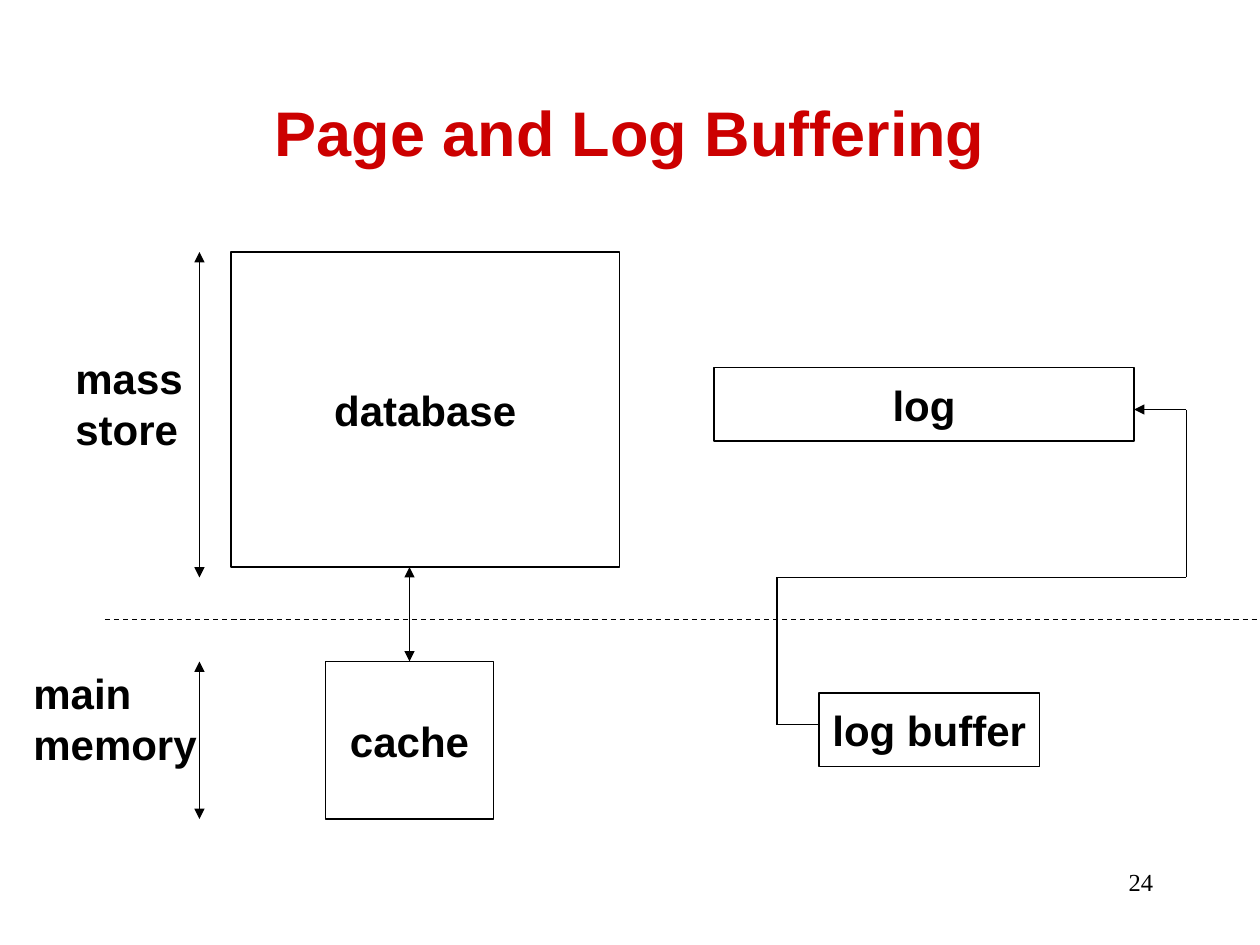
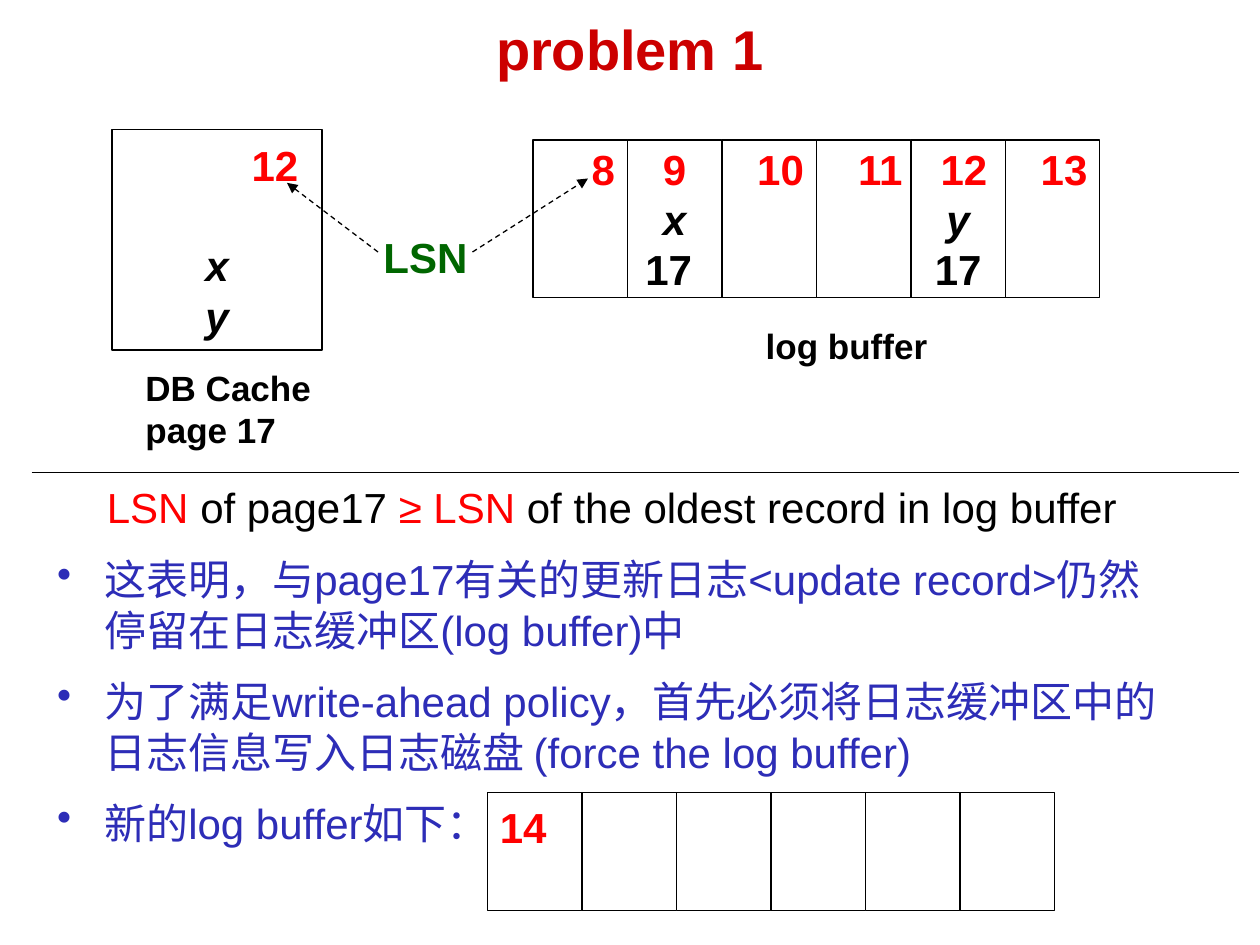
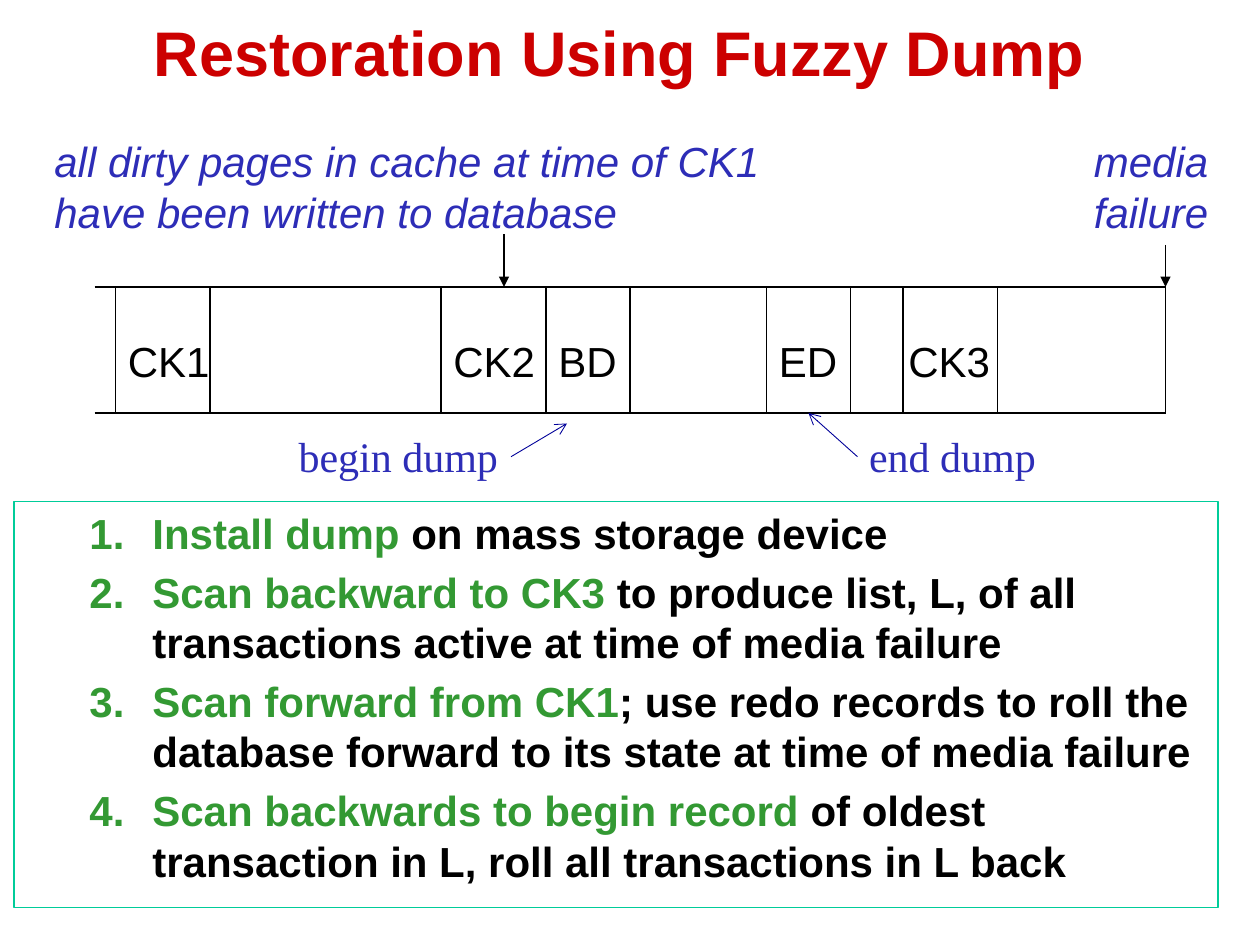
from pptx import Presentation
from pptx.util import Pt
from pptx.dml.color import RGBColor
from pptx.enum.dml import MSO_LINE
from pptx.enum.shapes import MSO_CONNECTOR, MSO_SHAPE
from pptx.enum.text import MSO_ANCHOR, PP_ALIGN
from pptx.oxml.ns import qn
from lxml.etree import SubElement

COLORS = {
    "title": "CC0000", "black": "000000", "white": "FFFFFF", "red": "FF0000",
    "green": "006600", "step": "339933", "blue": "2D2DB7", "navy": "000099", "teal": "00CC99",
}
ALIGN = {"l": PP_ALIGN.LEFT, "c": PP_ALIGN.CENTER, "r": PP_ALIGN.RIGHT}
SERIF = "Times New Roman"
BOTH, END = ("triangle", "triangle"), (None, "triangle")

STORES = [
    ("database", (132, 144, 222, 180)),
    ("log", (408, 210, 240, 42)),
    ("cache", (186, 378, 96, 90)),
    ("log buffer", (468, 396, 126, 42)),
]
STORE_LABELS = [
    (["mass", "store"], (36, 198, 76, 65)),
    (["main", "memory"], (12, 378, 108, 65)),
]
STORE_ARROWS = [(234, 324, 234, 378), (114, 144, 114, 330), (114, 378, 114, 468)]
FLUSH_ROUTE = [(468, 414), (444, 414), (444, 330), (678, 330), (678, 234), (648, 234)]

RECORDS = [
    ("8", "r", 7.2, []),
    ("9", "c", 7.2, ["x", "17 "]),
    ("10", "r", 7.2, []),
    ("11", "r", 4.8, []),
    (" 12", "c", 7.2, ["y", "17"]),
    ("13", "r", 7.2, []),
]
LSN_RULE = [
    ("LSN ", "red"), ("of page17 ", "black"), ("≥ LSN ", "red"),
    ("of the oldest record in log buffer", "black"),
]
NOTES = [
    "这表明，与page17有关的更新日志<update record>仍然停留在日志缓冲区(log buffer)中",
    "为了满足write-ahead policy，首先必须将日志缓冲区中的日志信息写入日志磁盘 (force the log buffer)",
    "新的log buffer如下：",
]

DIVIDERS = [66, 120, 252, 312, 360, 438, 486, 516, 570, 666]
LOG_TOP, LOG_BOTTOM, LOG_LEFT = 164, 236, 54
LOG_LABELS = [("CK1", 66), ("CK2", 252), ("BD", 312), ("ED", 438), ("CK3", 512)]
DUMP_LABELS = [
    ("begin dump", 163.5, (292, 261, 324, 242)),
    ("end dump", 489.5, (490, 261, 462, 236)),
]
STEPS = [
    ("Install dump", " on mass storage device"),
    ("Scan backward to CK3", " to produce list, L, of all transactions active at time of media failure"),
    ("Scan forward from CK1", "; use redo records to roll the database forward to its state at time of media failure"),
    ("Scan backwards to begin record", " of oldest transaction in L, roll all transactions in L back"),
]


def rgb(name):
    return RGBColor.from_string(COLORS[name])


def place(rect):
    return [Pt(v) for v in rect]


def write(tf, paras, size=24, color="black", bold=False, italic=False,
          font="Arial", align="l", after=0):
    for i, runs in enumerate(paras):
        p = tf.paragraphs[0] if i == 0 else tf.add_paragraph()
        p.alignment = ALIGN[align]
        p.line_spacing = Pt(size * 1.2)
        p.space_after = Pt(after)
        if isinstance(runs, str):
            runs = [(runs, color)]
        for text, run_color in runs:
            r = p.add_run()
            r.text = text
            r.font.name = font
            r.font.size = Pt(size)
            r.font.bold = bold
            r.font.italic = italic
            r.font.color.rgb = rgb(run_color)


def add_slide(title, rect, size=36):
    s = prs.slides.add_slide(prs.slide_layouts[5])
    sp = s.shapes.title
    sp.left, sp.top, sp.width, sp.height = place(rect)
    tf = sp.text_frame
    tf.text = title
    tf.vertical_anchor = MSO_ANCHOR.MIDDLE
    p = tf.paragraphs[0]
    p.alignment = PP_ALIGN.CENTER
    f = p.runs[0].font
    f.name, f.size, f.bold = "Arial", Pt(size), True
    f.color.rgb = rgb("title")
    return s


def add_text(s, paras, rect, wrap=False, **style):
    sp = s.shapes.add_textbox(*place(rect))
    sp.text_frame.word_wrap = wrap
    write(sp.text_frame, paras, **style)
    return sp


def add_box(s, rect, top=1.8, side=7.2, anchor=MSO_ANCHOR.TOP):
    sp = s.shapes.add_shape(MSO_SHAPE.RECTANGLE, *place(rect))
    sp.shadow.inherit = False
    sp.fill.solid()
    sp.fill.fore_color.rgb = rgb("white")
    sp.line.color.rgb = rgb("black")
    sp.line.width = Pt(0.75)
    tf = sp.text_frame
    tf.word_wrap = True
    tf.vertical_anchor = anchor
    tf.margin_top = Pt(top)
    tf.margin_left = tf.margin_right = Pt(side)
    return sp


def add_line(s, ends, arrows=(None, None), dash=False, color="black", width=0.75):
    c = s.shapes.add_connector(MSO_CONNECTOR.STRAIGHT, *place(ends))
    c.line.color.rgb = rgb(color)
    c.line.width = Pt(width)
    if dash:
        c.line.dash_style = MSO_LINE.DASH
    spPr = c._element.spPr
    ln = spPr.find(qn("a:ln"))
    for tag, kind in zip(("a:headEnd", "a:tailEnd"), arrows):
        if kind:
            SubElement(ln, qn(tag)).set("type", kind)
    SubElement(spPr, qn("a:effectLst"))


def add_bullets(tf, left, hang, tag, **attrs):
    for p in tf.paragraphs:
        pPr = p._p.get_or_add_pPr()
        pPr.set("marL", str(Pt(left)))
        pPr.set("indent", str(-Pt(hang)))
        bu = SubElement(pPr, qn(tag))
        for key, value in attrs.items():
            bu.set(key, value)


def write_record(tf, lsn, align, names):
    write(tf, [lsn] + names, bold=True, align="c")
    p = tf.paragraphs[0]
    p.alignment = ALIGN[align]
    p.runs[0].font.color.rgb = rgb("red")
    for p in tf.paragraphs[1:]:
        p.runs[0].font.italic = p.text in ("x", "y")


def build_buffering():
    s = add_slide("Page and Log Buffering", (54, 49.5, 612, 51))
    add_text(s, ["24"], (516, 492, 150, 36), wrap=True, size=14, font=SERIF, align="r")
    for name, rect in STORES:
        sp = add_box(s, rect, top=3.6, side=0, anchor=MSO_ANCHOR.MIDDLE)
        write(sp.text_frame, [name], bold=True, align="c")
    for lines, rect in STORE_LABELS:
        add_text(s, lines, rect, bold=True)
    for ends in STORE_ARROWS:
        add_line(s, ends, BOTH)
    legs = list(zip(FLUSH_ROUTE, FLUSH_ROUTE[1:]))
    for i, (a, b) in enumerate(legs):
        add_line(s, a + b, END if i == len(legs) - 1 else (None, None))
    add_line(s, (60, 354, 720, 354), dash=True)


def build_problem():
    s = add_slide("problem 1", (54, 6.5, 612, 42), size=32)
    for i, (lsn, align, side, names) in enumerate(RECORDS):
        sp = add_box(s, (304.5 + 54 * i, 80, 54, 90), side=side)
        write_record(sp.text_frame, lsn, align, names)
    cache = add_box(s, (64, 74, 120, 126), top=5.4, side=13.5)
    write_record(cache.text_frame, "12", "r", ["x", "y"])
    cache.text_frame.paragraphs[1].space_before = Pt(28.8)
    add_text(s, ["DB Cache", "page 17"], (76, 206, 109, 55), size=20, bold=True)
    add_text(s, ["log buffer"], (430.5, 182, 133, 31), size=20, bold=True)
    add_text(s, ["LSN"], (212, 129, 63, 36), color="green", bold=True)
    for ends in [(216, 144, 164, 104.5), (270, 144, 336, 102)]:
        add_line(s, ends, END, dash=True)
    add_line(s, (18, 270, 708, 270))
    add_text(s, [LSN_RULE], (54, 271.5, 624, 36), wrap=True)
    notes = add_text(s, NOTES, (25.5, 313, 652, 175), wrap=True, color="blue", after=12)
    add_bullets(notes.text_frame, 27, 27, "a:buChar", char="•")
    for i in range(len(RECORDS)):
        sp = add_box(s, (278.5 + 54 * i, 453, 54, 67.5), top=5)
        if i == 0:
            write(sp.text_frame, ["14"], color="red", bold=True)


def build_restoration():
    s = add_slide("Restoration Using Fuzzy Dump", (48, 0, 612, 58.5))
    steps = [[(lead, "step"), (rest, "black")] for lead, rest in STEPS]
    sp = add_text(s, steps, (8, 286.5, 688, 232), wrap=True, bold=True, after=4.8)
    sp.line.color.rgb = rgb("teal")
    sp.line.width = Pt(0.75)
    add_bullets(sp.text_frame, 72, 36, "a:buAutoNum", type="arabicPeriod")
    for name, x in LOG_LABELS:
        add_text(s, [name], (x, 188, 66, 36))
    for x in DIVIDERS:
        add_line(s, (x, LOG_TOP, x, LOG_BOTTOM))
    for y in (LOG_TOP, LOG_BOTTOM):
        add_line(s, (LOG_LEFT, y, DIVIDERS[-1], y))
    add_text(s, ["media", "failure"], (618, 74, 80, 65), color="blue", italic=True)
    add_text(s, ["all dirty pages in cache at time of CK1 have been written to database"],
             (24, 74, 423, 65), wrap=True, color="blue", italic=True)
    for x, y in [(666, 140), (288, 134)]:
        add_line(s, (x, y, x, LOG_TOP), END)
    for text, x, ends in DUMP_LABELS:
        add_text(s, [text], (x, 242.5, 140, 36), wrap=True, color="blue", font=SERIF)
        add_line(s, ends, (None, "arrow"), color="navy", width=0.5)


prs = Presentation()
prs.slide_width, prs.slide_height = Pt(720), Pt(540)
build_buffering()
build_problem()
build_restoration()
prs.save("out.pptx")
